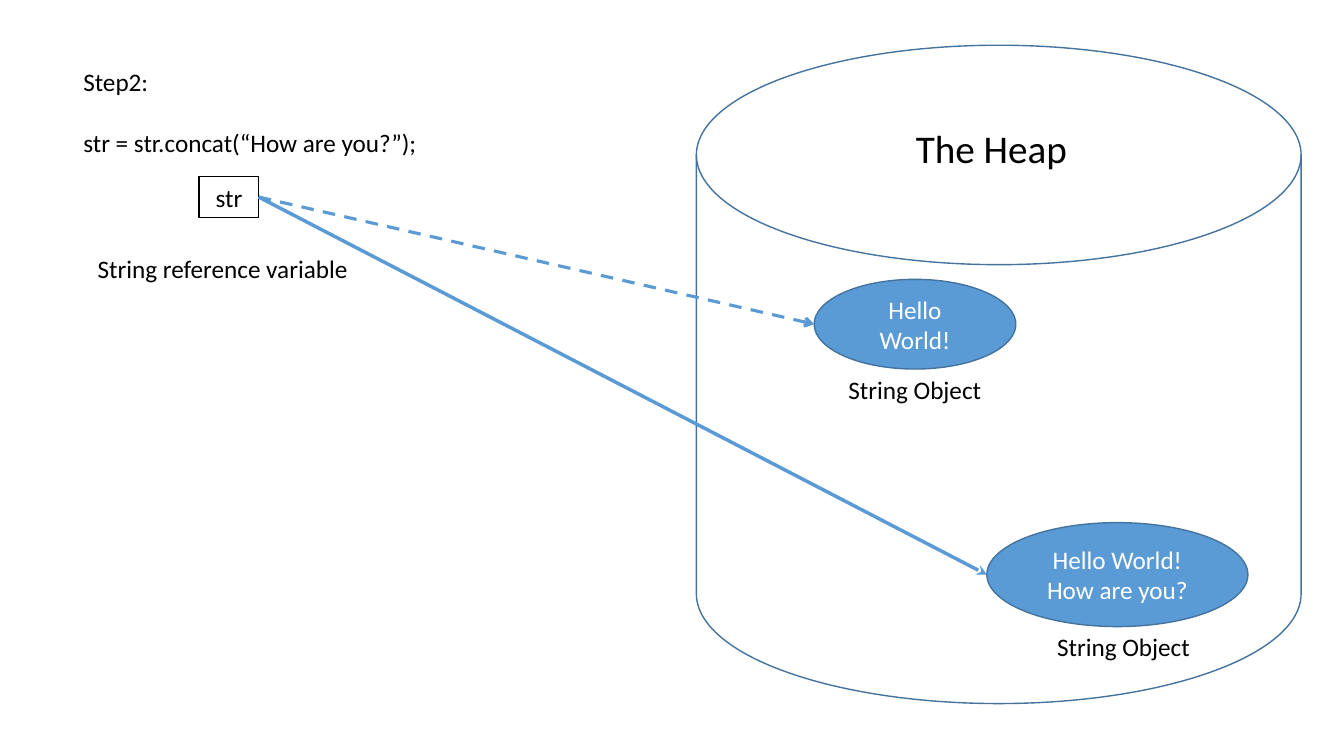
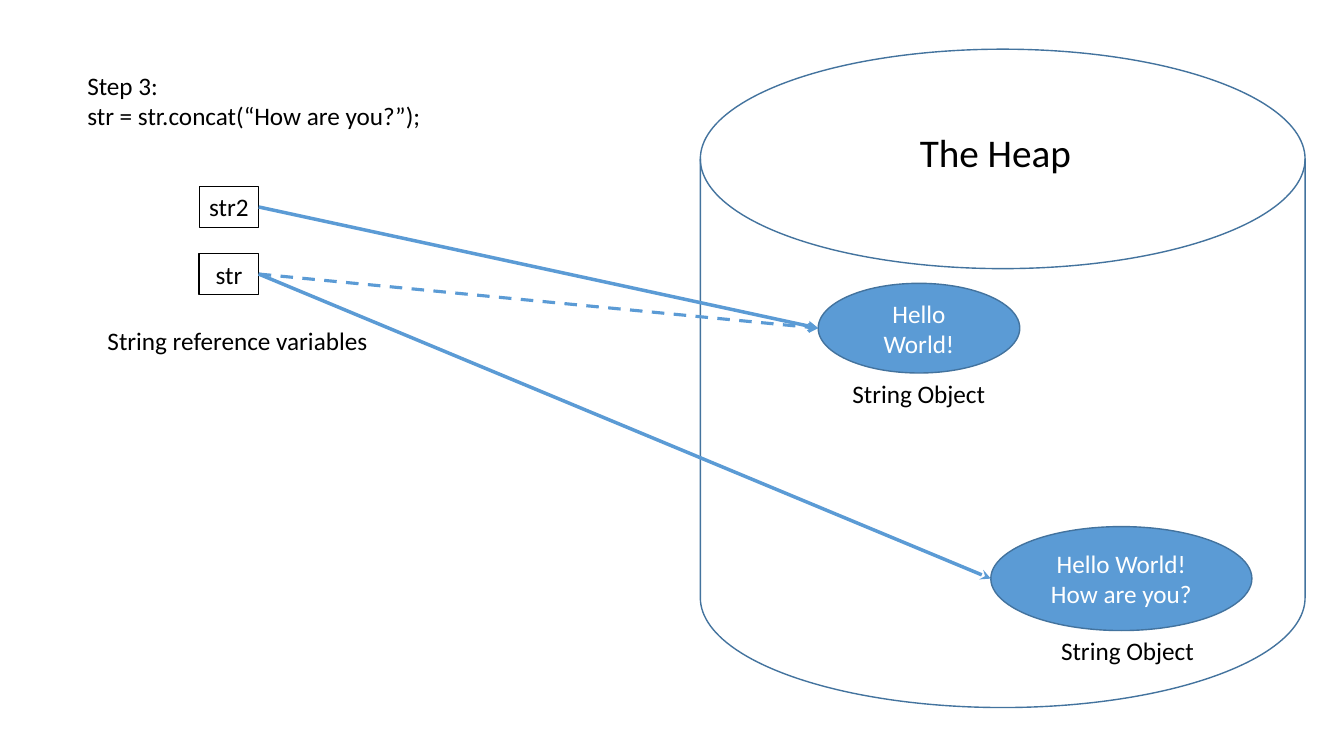
from lxml import etree
from pptx import Presentation
from pptx.dml.color import RGBColor
from pptx.enum import dml, shapes, text
from pptx.oxml.ns import qn
from pptx.util import Cm, Pt

BLACK, WHITE, BLUE, EDGE = "000000", "FFFFFF", "5B9BD5", "43739E"
KIND = shapes.MSO_SHAPE


def add_box(s, kind, place, lines=(), fill=None, line=None, width=1,
            color=BLACK, size=18, gap=0, wrap=True):
    place = [Cm(v) for v in place]
    if kind is None:
        sp = s.shapes.add_textbox(*place)
    else:
        sp = s.shapes.add_shape(kind, *place)
        sp.shadow.inherit = False
        sp.line.color.rgb = RGBColor.from_string(line)
        sp.line.width = Pt(width)
        if fill:
            sp.fill.solid()
            sp.fill.fore_color.rgb = RGBColor.from_string(fill)
        else:
            sp.fill.background()
    tf = sp.text_frame
    tf.word_wrap = wrap
    tf.vertical_anchor = text.MSO_ANCHOR.TOP if kind is None else text.MSO_ANCHOR.MIDDLE
    for i, words in enumerate(lines):
        p = tf.add_paragraph() if i else tf.paragraphs[0]
        p.text = words
        p.alignment = text.PP_ALIGN.LEFT if kind is None else text.PP_ALIGN.CENTER
        p.font.name = "Calibri"
        p.font.size = Pt(size)
        p.font.color.rgb = RGBColor.from_string(color)
        if i:
            p.space_before = Pt(gap)
    return sp


def add_arrow(s, box, oval, dashed=False):
    c = s.shapes.add_connector(shapes.MSO_CONNECTOR.STRAIGHT, 0, 0,
                               oval.left, oval.top + oval.height // 2)
    c.begin_connect(box, 3)
    c.line.color.rgb = RGBColor.from_string(BLUE)
    c.line.width = Pt(2.25 if dashed else 2.5)
    if dashed:
        c.line.dash_style = dml.MSO_LINE.DASH
    ln = c.line._get_or_add_ln()
    etree.SubElement(ln, qn("a:tailEnd"), type="arrow" if dashed else "stealth")
    etree.SubElement(c._element.spPr, qn("a:effectLst"))


prs = Presentation()
prs.slide_width, prs.slide_height = Cm(33.87), Cm(19.05)

steps = [
    dict(shift=0, step="Step2:", gap=22, str_top=4.45, str2_top=None,
         caption="String reference variable", caption_at=(2.21, 6.27)),
    dict(shift=0.1, step="Step 3:", gap=0, str_top=6.39, str2_top=4.7,
         caption="String reference variables", caption_at=(2.46, 8.08)),
]

for step in steps:
    s = prs.slides.add_slide(prs.slide_layouts[6])
    d = step["shift"]

    add_box(s, KIND.FLOWCHART_MAGNETIC_DISK, (17.55 + d, 1.14 + d, 15.24, 16.59), line=EDGE)
    add_box(s, None, (1.85 + d, 1.55 + d, 10.9, 1.8),
            [step["step"], "str = str.concat(“How are you?”);"], gap=step["gap"])
    add_box(s, None, (*step["caption_at"], 7.26, 1.02), [step["caption"]])
    add_box(s, None, (22.83 + d, 3 + d, 5.56, 1.44), ["The Heap"], size=28)

    ovals = []
    for place, words, label_at in [
        ((20.52, 7.04, 5.08, 2.26), "Hello World!", (21.13, 9.3)),
        ((24.87, 13.17, 6.58, 2.62), "Hello World! How are you?", (26.39, 15.78)),
    ]:
        x, y, w, h = place
        ovals.append(add_box(s, KIND.OVAL, (x + d, y + d, w, h), [words],
                             fill=BLUE, line=EDGE, color=WHITE))
        add_box(s, None, (label_at[0] + d, label_at[1] + d, 4.39, 1.02), ["String Object"])
    hello, longer = ovals

    var = add_box(s, KIND.RECTANGLE, (5.02, step["str_top"], 1.5, 1.03), ["str"],
                  line=BLACK, wrap=False)
    add_arrow(s, var, longer)
    add_arrow(s, var, hello, dashed=True)

    if step["str2_top"]:
        var2 = add_box(s, KIND.RECTANGLE, (5.02, step["str2_top"], 1.5, 1.03), ["str2"],
                       fill=WHITE, line=BLACK, width=0.75, wrap=False)
        add_arrow(s, var2, hello)

prs.save("out.pptx")
